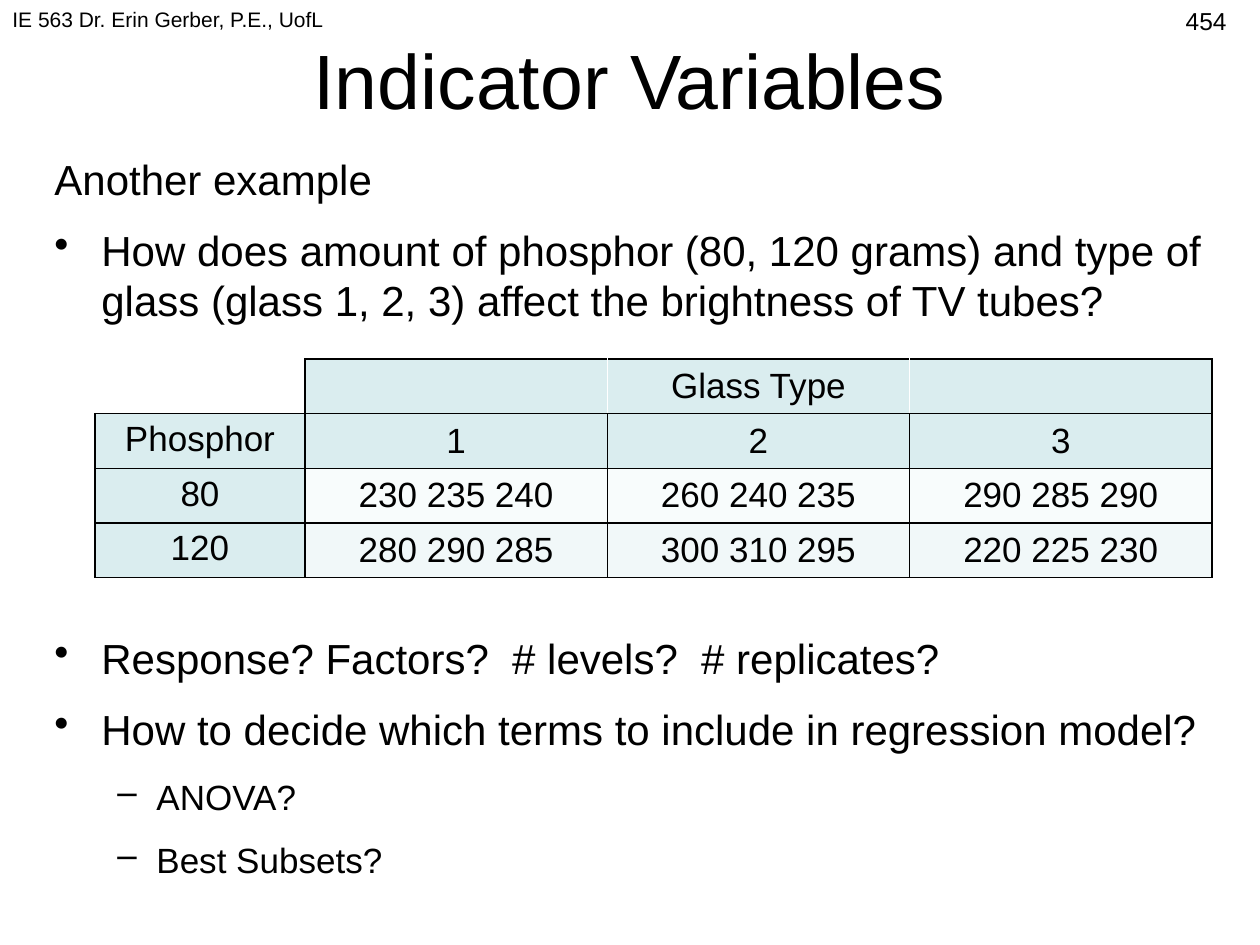
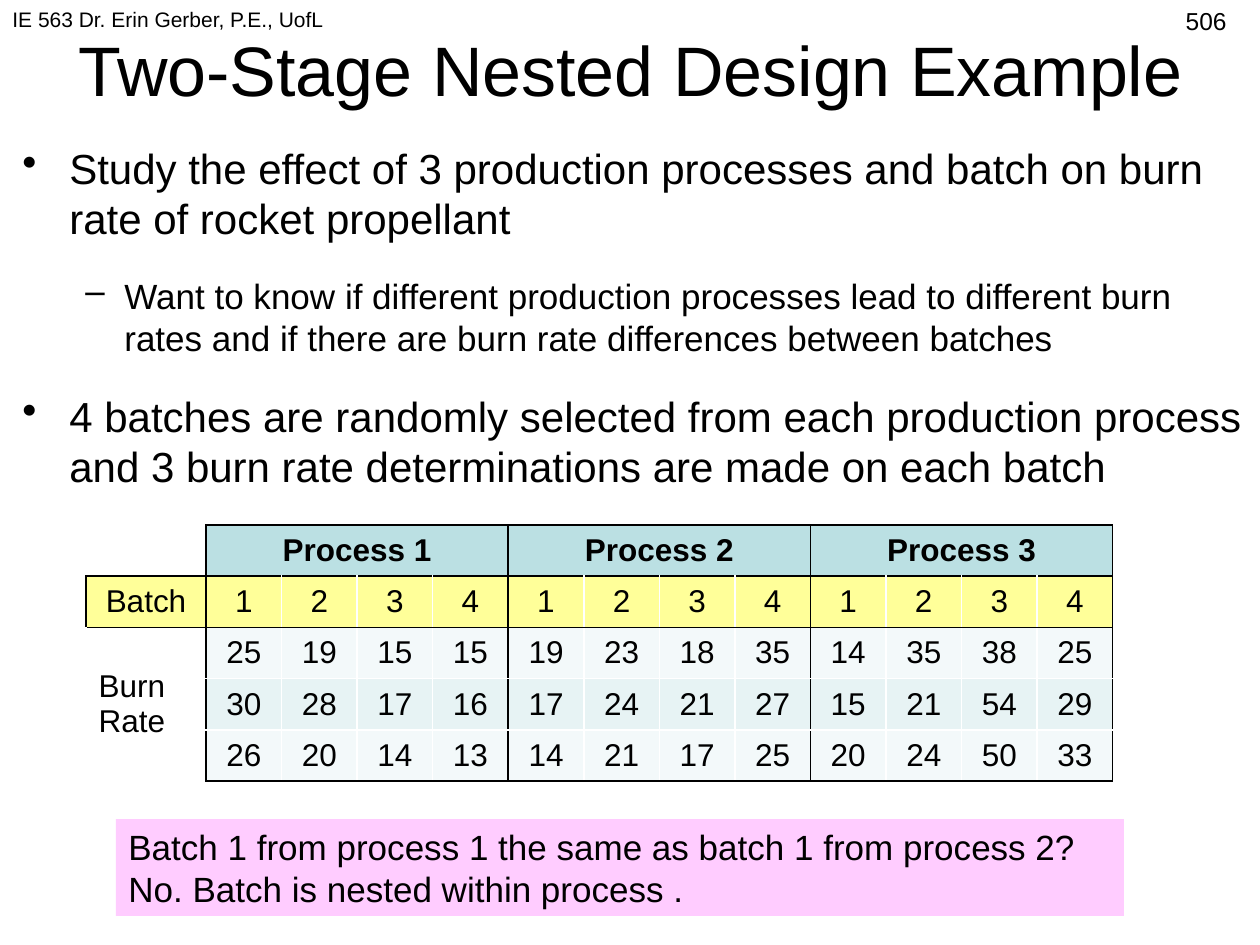
from lxml.etree import SubElement
from pptx import Presentation
from pptx.dml.color import RGBColor
from pptx.enum.shapes import MSO_SHAPE as Shape
from pptx.enum.text import MSO_ANCHOR as Anchor, PP_ALIGN as Align
from pptx.oxml.ns import qn
from pptx.util import Pt

# Content
COURSE = "IE 563 Dr. Erin Gerber, P.E., UofL"

INDICATOR_TITLE = "Indicator Variables"
INDICATOR_QUESTION = [
    ("plain", "Another example"),
    ("bullet", "How does amount of phosphor (80, 120 grams) and type of glass "
               "(glass 1, 2, 3) affect the brightness of TV tubes?"),
]
INDICATOR_MODEL = [
    ("bullet", "Response? Factors?  # levels?  # replicates?"),
    ("bullet", "How to decide which terms to include in regression model?"),
    ("dash", "ANOVA?"),
    ("dash", "Best Subsets?"),
]
GLASS_HEADER = ["", "", "Glass Type", ""]
GLASS_TYPES = ["Phosphor", "1", "2", "3"]
BRIGHTNESS = {
    "80": [(230, 235, 240), (260, 240, 235), (290, 285, 290)],
    "120": [(280, 290, 285), (300, 310, 295), (220, 225, 230)],
}

NESTED_TITLE = "Two-Stage Nested Design Example"
NESTED_POINTS = [
    ("bullet", "Study the effect of 3 production processes and batch on burn rate "
               "of rocket propellant"),
    ("dash", "Want to know if different production processes lead to different burn "
             "rates and if there are burn rate differences between batches"),
    ("bullet", "4 batches are randomly selected from each production process and "
               "3 burn rate determinations are made on each batch"),
]
PROCESSES = ["Process 1", "Process 2", "Process 3"]
BATCHES = [1, 2, 3, 4]
BURN_RATES = [
    [25, 19, 15, 15, 19, 23, 18, 35, 14, 35, 38, 25],
    [30, 28, 17, 16, 17, 24, 21, 27, 15, 21, 54, 29],
    [26, 20, 14, 13, 14, 21, 17, 25, 20, 24, 50, 33],
]
NESTED_ANSWER = [
    "Batch 1 from process 1 the same as batch 1 from process 2?",
    "No. Batch is nested within process .",
]

# Shared style
PX = 914400 / 126
FONT = "Arial"
BLACK = RGBColor(0x00, 0x00, 0x00)
WHITE = RGBColor(0xFF, 0xFF, 0xFF)
GLASS_HEAD = RGBColor(0xDA, 0xED, 0xEF)
GLASS_ROWS = [RGBColor(0xF8, 0xFC, 0xFC), RGBColor(0xF1, 0xF8, 0xF9)]
PROCESS_BLUE = RGBColor(0xBB, 0xE0, 0xE3)
BATCH_YELLOW = RGBColor(0xFF, 0xFF, 0x99)
RATE_ROWS = [RGBColor(0xF3, 0xF9, 0xFA), RGBColor(0xE7, 0xF3, 0xF4)]
ANSWER_PINK = RGBColor(0xFF, 0xCC, 0xFF)

# kind: (level, bullet, left margin px, hanging px, size)
LIST_STYLES = {
    "plain": (0, None, 47, 47, 24),
    "bullet": (0, "•", 47, 47, 24),
    "dash": (1, "–", 102, 39, 20),
}


def emu(px):
    return round(px * PX)


def add_run(paragraph, text, size, bold=False):
    run = paragraph.add_run()
    run.text = text
    run.font.name = FONT
    run.font.size = Pt(size)
    run.font.bold = bold
    run.font.color.rgb = BLACK


def add_text(slide, box, text, size, align=Align.LEFT, anchor=Anchor.TOP):
    frame = slide.shapes.add_textbox(*map(emu, box)).text_frame
    frame.word_wrap = True
    frame.vertical_anchor = anchor
    frame.paragraphs[0].alignment = align
    add_run(frame.paragraphs[0], text, size)


def add_list(slide, box, items, before, after=0):
    frame = slide.shapes.add_textbox(*map(emu, box)).text_frame
    frame.word_wrap = True
    for index, (kind, text) in enumerate(items):
        level, bullet, margin, hanging, size = LIST_STYLES[kind]
        paragraph = frame.add_paragraph() if index else frame.paragraphs[0]
        paragraph.level = level
        properties = paragraph._p.get_or_add_pPr()
        properties.set("marL", str(emu(margin)))
        properties.set("indent", str(-emu(hanging)))
        if bullet:
            SubElement(properties, qn("a:buChar"), char=bullet)
        paragraph.space_before = Pt(before if index else 0)
        paragraph.space_after = Pt(after)
        add_run(paragraph, text, size)


def add_base_slide(presentation, title, title_box, title_size, number):
    slide = presentation.slides.add_slide(presentation.slide_layouts[6])
    add_text(slide, title_box, title, title_size, Align.CENTER, Anchor.MIDDLE)
    add_text(slide, (0, 0, 525, 66), COURSE, 12)
    add_text(slide, (945, 0, 294, 66), number, 14, Align.RIGHT)
    return slide


def add_grid(slide, box, rows, first_width):
    """Add a plain table: a first column, then equal columns and equal rows."""
    left, top, width, height = map(emu, box)
    count = len(rows[0])
    table = slide.shapes.add_table(len(rows), count, left, top, width, height).table
    table.first_row = table.horz_banding = False
    for index, column in enumerate(table.columns):
        column.width = round((width - emu(first_width)) / (count - 1)) if index else emu(first_width)
    for row in table.rows:
        row.height = round(height / len(rows))
    return table


def fill_cell(cell, text, size, color=None, bold=False, align=Align.CENTER, anchor=Anchor.MIDDLE):
    cell.vertical_anchor = anchor
    paragraph = cell.text_frame.paragraphs[0]
    paragraph.alignment = align
    if text:
        add_run(paragraph, text, size, bold)
    if color is None:
        cell.fill.background()
    else:
        cell.fill.solid()
        cell.fill.fore_color.rgb = color


def set_borders(table, vertical, horizontal):
    """Colour each edge by vertical(row, line) and horizontal(line, column)."""
    for r in range(len(table.rows)):
        for c in range(len(table.columns)):
            cell = table.cell(r, c)
            if cell.is_spanned:
                continue
            right = c + (cell.span_width if cell.is_merge_origin else 1)
            bottom = r + (cell.span_height if cell.is_merge_origin else 1)
            edges = [("a:lnL", vertical(r, c)), ("a:lnR", vertical(r, right)),
                     ("a:lnT", horizontal(r, c)), ("a:lnB", horizontal(bottom, c))]
            properties = cell._tc.get_or_add_tcPr()
            for position, (tag, color) in enumerate(edges):
                line = SubElement(properties, qn(tag), w=str(Pt(1)))
                SubElement(SubElement(line, qn("a:solidFill")), qn("a:srgbClr"), val=str(color))
                properties.insert(position, line)  # edges come before the fill


def add_glass_table(slide):
    rows = [GLASS_HEADER, GLASS_TYPES]
    rows += [[grams] + [" ".join(map(str, group)) for group in groups]
             for grams, groups in BRIGHTNESS.items()]
    table = add_grid(slide, (95, 359, 1117, 218), rows, 210)
    for r, row in enumerate(rows):
        for c, text in enumerate(row):
            color = GLASS_HEAD if r < 2 or c == 0 else GLASS_ROWS[r - 2]
            fill_cell(table.cell(r, c), text, 20, None if r == c == 0 else color,
                      anchor=Anchor.MIDDLE if c else Anchor.TOP)
    set_borders(table,
                lambda row, line: WHITE if row == 0 and line in (0, 2, 3) else BLACK,
                lambda line, column: WHITE if line == column == 0 else BLACK)


def add_burn_table(slide):
    span = len(BATCHES)
    heads = [""] + [name if k == 0 else "" for name in PROCESSES for k in range(span)]
    rows = [heads, ["Batch"] + BATCHES * len(PROCESSES)]
    rows += [["" if k else "Burn Rate"] + rates for k, rates in enumerate(BURN_RATES)]
    table = add_grid(slide, (86, 525, 1027, 256), rows, 120)
    last = len(rows) - 1
    for start in range(1, len(heads), span):
        table.cell(0, start).merge(table.cell(0, start + span - 1))
    table.cell(2, 0).merge(table.cell(last, 0))

    for r, row in enumerate(rows):
        color = [PROCESS_BLUE, BATCH_YELLOW][r] if r < 2 else RATE_ROWS[r % 2]
        for c, value in enumerate(row):
            is_label = c == 0 and r != 1
            fill_cell(table.cell(r, c), str(value), 18, None if is_label else color,
                      bold=r == 0, align=Align.LEFT if is_label else Align.CENTER)

    def vertical(row, line):
        return BLACK if line % span == 1 or (line == 0 and row == 1) else WHITE

    def horizontal(line, column):
        outer = line in (0, last + 1) and column > 0
        return BLACK if outer or line in (1, 2) else WHITE

    set_borders(table, vertical, horizontal)


def add_answer(slide):
    shape = slide.shapes.add_shape(Shape.RECTANGLE, *map(emu, (116, 819, 1008, 97)))
    shape.shadow.inherit = False
    shape.fill.solid()
    shape.fill.fore_color.rgb = ANSWER_PINK
    shape.line.fill.background()
    frame = shape.text_frame
    frame.word_wrap = True
    frame.vertical_anchor = Anchor.TOP
    for index, text in enumerate(NESTED_ANSWER):
        paragraph = frame.add_paragraph() if index else frame.paragraphs[0]
        paragraph.alignment = Align.LEFT
        add_run(paragraph, text, 20)


def main():
    presentation = Presentation()
    presentation.slide_width, presentation.slide_height = emu(1260), emu(945)

    # Indicator variables
    slide = add_base_slide(presentation, INDICATOR_TITLE, (63, 0, 1134, 158), 44, "454")
    add_list(slide, (42, 147, 1176, 200), INDICATOR_QUESTION, 6, 6)
    add_glass_table(slide)
    add_list(slide, (42, 626, 1176, 277), INDICATOR_MODEL, 6, 6)

    # Nested design
    slide = add_base_slide(presentation, NESTED_TITLE, (32, -10, 1197, 158), 40, "506")
    add_list(slide, (10, 136, 1260, 388), NESTED_POINTS, 18)
    add_burn_table(slide)
    add_answer(slide)

    presentation.save("out.pptx")


if __name__ == "__main__":
    main()
